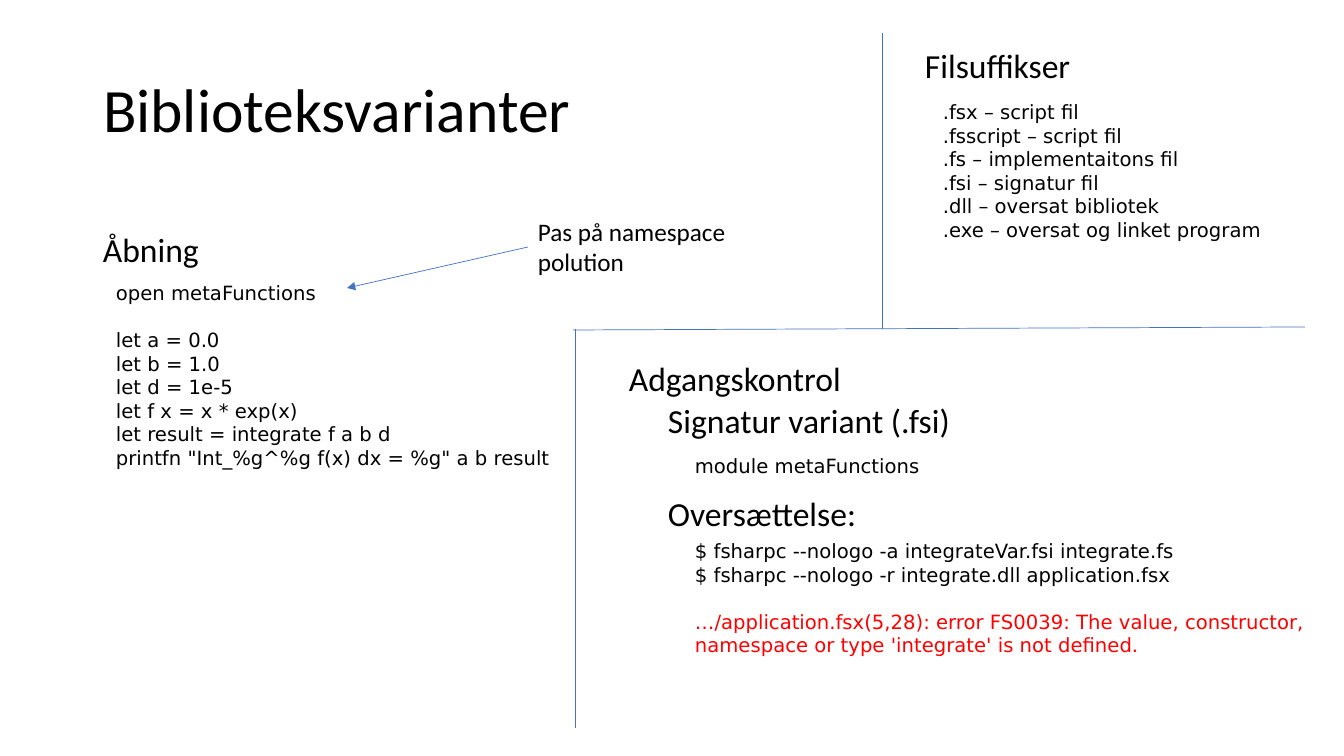
from lxml import etree
from pptx import Presentation
from pptx.dml.color import RGBColor
from pptx.enum.shapes import MSO_CONNECTOR
from pptx.enum.text import MSO_ANCHOR, MSO_AUTO_SIZE as FIT, PP_ALIGN
from pptx.oxml.ns import qn
from pptx.util import Emu, Pt

BLACK, RED, BLUE = "000000", "FF0000", "4472C4"
HEADING = {"name": "Calibri", "size": Pt(24)}
NOTE = {"name": "Calibri", "size": Pt(18)}
CODE = {"name": "DejaVu Sans", "size": Pt(14)}
CODE_GAP = Pt(16.8)  # one line of code


def px(n):
    return Emu(round(n * 914400 / 100.8))


def colour(target, value):
    target.rgb = RGBColor.from_string(value)


def style(font, fmt, value=BLACK):
    for key, val in fmt.items():
        setattr(font, key, val)
    colour(font.color, value)


def add_text(s, x, y, w, h, lines, fmt, wrap=True, gap_before=None, last=BLACK):
    """Text box with one paragraph per line; gap_before is a line's index."""
    tf = s.shapes.add_textbox(*map(px, (x, y, w, h))).text_frame
    tf.word_wrap = wrap
    tf.auto_size = FIT.SHAPE_TO_FIT_TEXT
    for i, line in enumerate(lines):
        p = tf.add_paragraph() if i else tf.paragraphs[0]
        r = p.add_run()
        r.text = line
        style(r.font, fmt, last if i == len(lines) - 1 else BLACK)
        if i == gap_before:
            p.space_before = CODE_GAP


def add_line(s, x1, y1, x2, y2, arrow=False):
    c = s.shapes.add_connector(MSO_CONNECTOR.STRAIGHT, *map(px, (x1, y1, x2, y2)))
    c.line.width = Pt(0.5)
    colour(c.line.color, BLUE)
    if arrow:
        etree.SubElement(c.line._get_or_add_ln(), qn("a:tailEnd"), type="triangle")
    etree.SubElement(c._element.spPr, qn("a:effectLst"))


def add_title(s, x, y, w, h):
    sp = s.shapes.title
    sp.left, sp.top, sp.width, sp.height = map(px, (x, y, w, h))
    tf = sp.text_frame
    tf.text = "Biblioteksvarianter"
    tf.auto_size = FIT.NONE
    tf.vertical_anchor = MSO_ANCHOR.MIDDLE
    p = tf.paragraphs[0]
    p.alignment = PP_ALIGN.LEFT
    p.line_spacing = 0.9
    style(p.runs[0].font, {"name": "Calibri", "size": Pt(44)})


def add_opening(s, x, y):
    add_text(s, x, y, 318, 50, ["Åbning"], HEADING)
    add_text(s, x + 13, y + 52, 481, 201, [
        "open metaFunctions",
        "let a = 0.0",
        "let b = 1.0",
        "let d = 1e-5",
        "let f x = x * exp(x)",
        "let result = integrate f a b d",
        'printfn "Int_%g^%g f(x) dx = %g" a b result',
    ], CODE, gap_before=1)
    # Warning pointing at the open statement
    add_line(s, x + 435, y + 23, x + 254, y + 64, arrow=True)
    add_text(s, x + 435, y - 13, 230, 72, ["Pas på namespace polution"], NOTE)


def add_suffixes(s, x, y):
    add_text(s, x, y, 318, 50, ["Filsuffikser"], HEADING)
    add_text(s, x + 18, y + 55, 344, 152, [
        ".fsx – script fil",
        ".fsscript – script fil",
        ".fs – implementaitons fil",
        ".fsi – signatur fil",
        ".dll – oversat bibliotek",
        ".exe – oversat og linket program",
    ], CODE, wrap=False)


def add_access(s, x, y):
    sub, code = x + 39, x + 66
    add_text(s, x, y, 639, 50, ["Adgangskontrol"], HEADING)
    add_text(s, sub, y + 42, 425, 50, ["Signatur variant (.fsi)"], HEADING)
    add_text(s, code, y + 96, 481, 34, ["module metaFunctions"], CODE)
    add_text(s, sub, y + 135, 217, 50, ["Oversættelse:"], HEADING)
    add_text(s, code, y + 181, 633, 129, [
        "$ fsharpc --nologo -a integrateVar.fsi integrate.fs",
        "$ fsharpc --nologo -r integrate.dll application.fsx",
        "…/application.fsx(5,28): error FS0039: The value, constructor, "
        "namespace or type 'integrate' is not defined.",
    ], CODE, gap_before=2, last=RED)


def add_dividers(s):
    for ends in ((573, 330, 1305, 327), (575, 329, 575, 728), (882, 33, 882, 329)):
        add_line(s, *ends)


def main():
    prs = Presentation()
    prs.slide_width, prs.slide_height = px(1344), px(756)
    s = prs.slides.add_slide(prs.slide_layouts[5])
    add_title(s, 93, 40, 1159, 146)
    add_opening(s, 93, 224)
    add_suffixes(s, 915, 40)
    add_access(s, 619, 353)
    add_dividers(s)
    prs.save("out.pptx")


if __name__ == "__main__":
    main()
